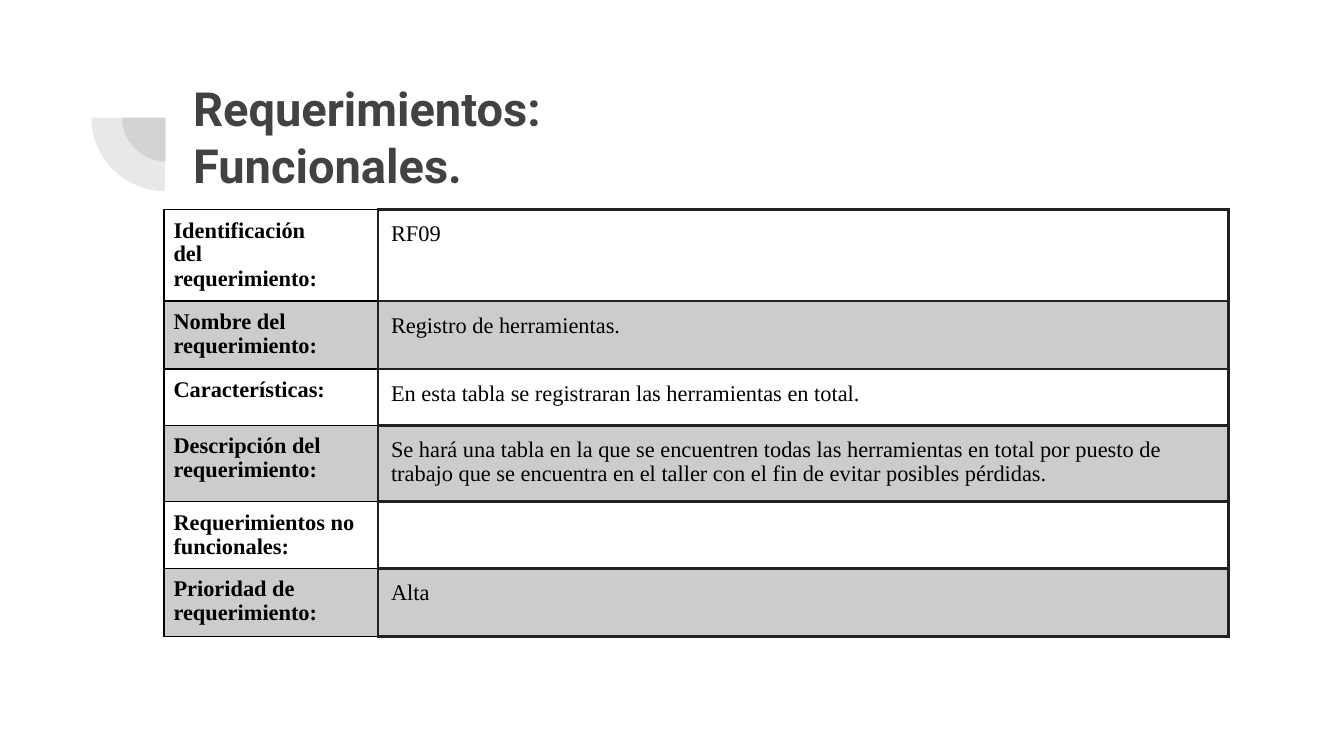
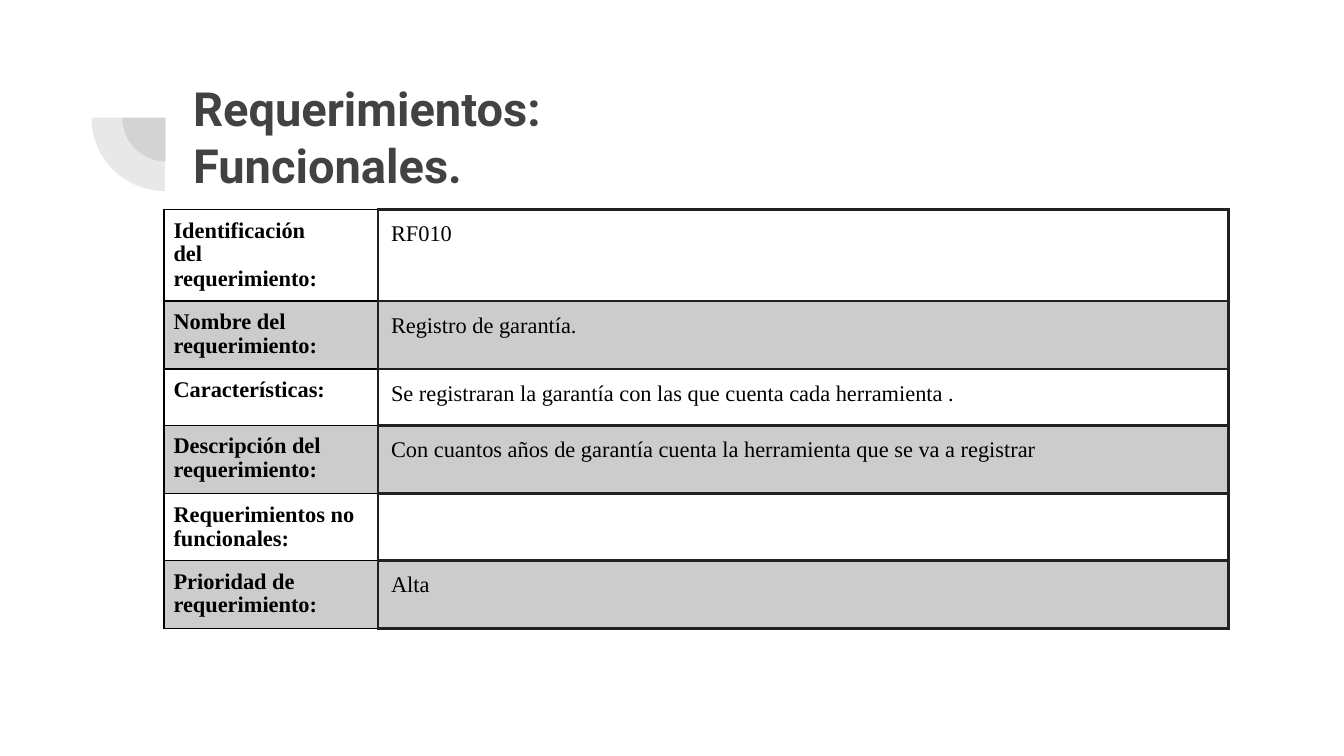
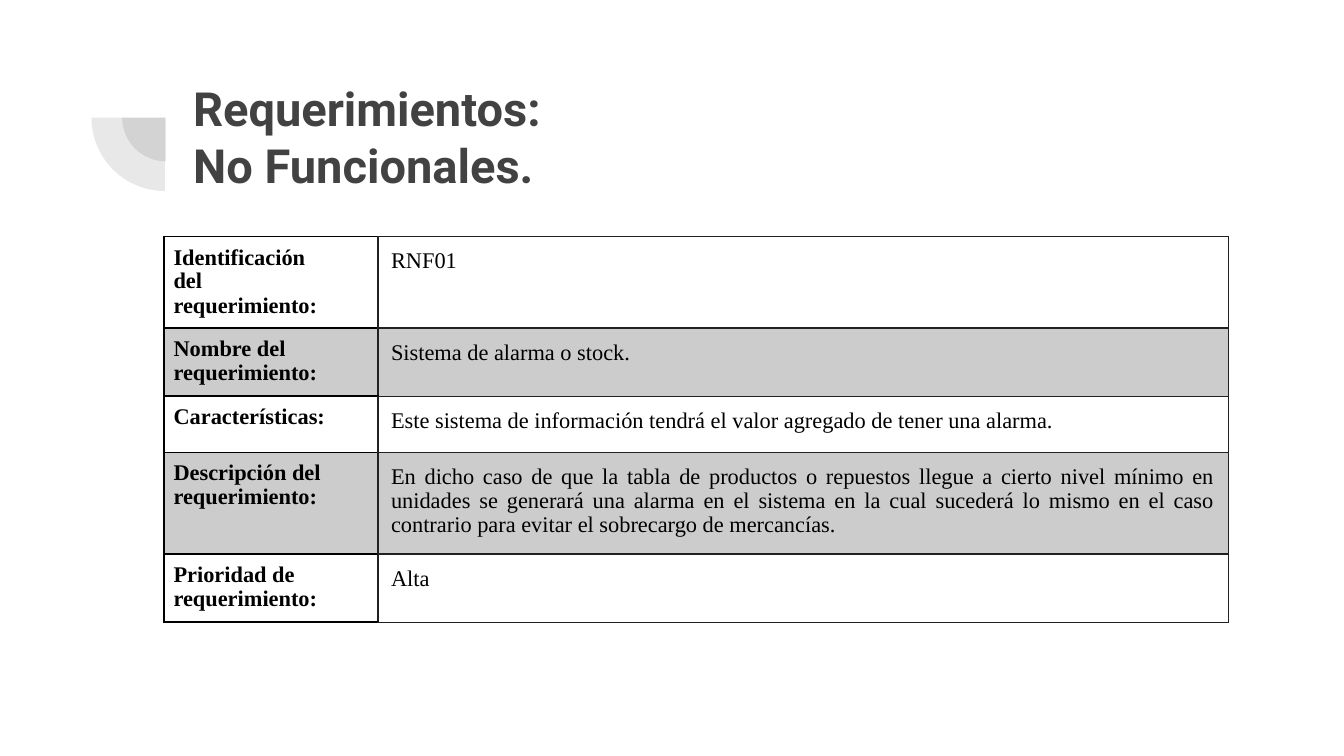
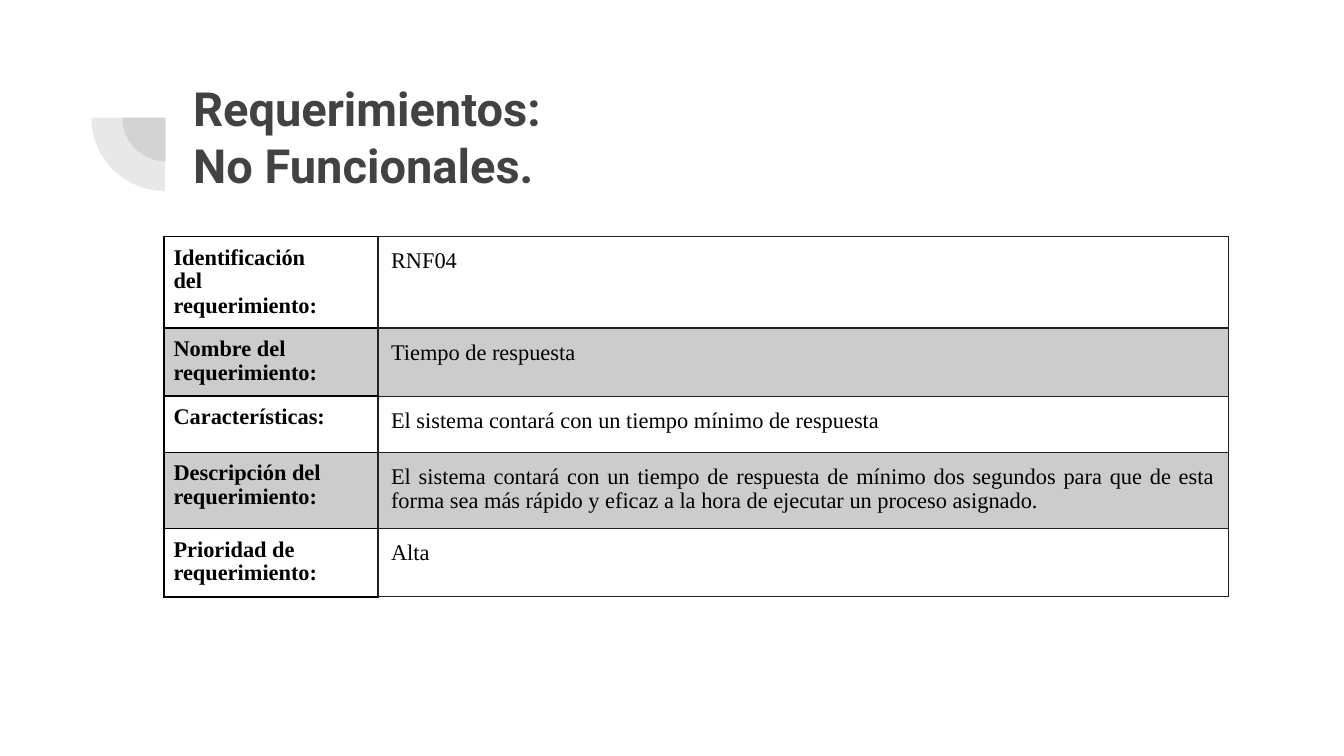
import pptx
import pptx.util
import pptx.dml.color
import pptx.enum.shapes
import pptx.enum.text
import pptx.oxml
import pptx.oxml.ns
import lxml.etree

Cm = pptx.util.Cm
Pt = pptx.util.Pt
ALIGN = pptx.enum.text.PP_ALIGN
DARK, BLACK, BORDER, GREY = "424242", "000000", "202124", "CCCCCC"

LABELS = {
    "id": "Identificación\vdel\nrequerimiento:",
    "name": "Nombre del\nrequerimiento:",
    "features": "Características:",
    "description": "Descripción del requerimiento:",
    "non_functional": "Requerimientos no funcionales:",
    "priority": "Prioridad de\nrequerimiento:",
}
ROW_HEIGHTS = {"id": 1.73, "name": 1.29, "features": 1.06,
               "non_functional": 1.26, "priority": 1.29}
COLUMN_WIDTHS = [4.04, 16.08]
CELL_MARGINS = [0.18, 0.25]
PIES = [(2.31, 1.4, 1.65), (1.73, 0.84, 2.77)]
FUNCTIONAL = {"title": "Requerimientos:\nFuncionales.", "top": 3.96,
              "edges": {"L": 1.5, "R": 1.5, "T": 1.5, "B": 1.5},
              "align": ALIGN.LEFT}
NON_FUNCTIONAL = {"title": "Requerimientos:\nNo Funcionales.", "top": 4.47,
                  "edges": {"L": 1, "R": 0.75, "T": 0.75, "B": 0.75},
                  "align": ALIGN.JUSTIFY}

REQUIREMENTS = [
    (FUNCTIONAL, 1.44, {
        "id": "RF09",
        "name": "Registro de herramientas.",
        "features": "En esta tabla se registraran las herramientas en total.",
        "description": "Se hará una tabla en la que se encuentren todas las "
                       "herramientas en total por puesto de trabajo que se encuentra "
                       "en el taller con el fin de evitar posibles pérdidas.",
        "non_functional": "",
        "priority": "Alta",
    }),
    (FUNCTIONAL, 1.29, {
        "id": "RF010",
        "name": "Registro de garantía.",
        "features": "Se registraran la garantía con las que cuenta cada herramienta .",
        "description": "Con cuantos años de garantía cuenta la herramienta que se va "
                       "a registrar",
        "non_functional": "",
        "priority": "Alta",
    }),
    (NON_FUNCTIONAL, 1.92, {
        "id": "RNF01",
        "name": "Sistema de alarma o stock.",
        "features": "Este sistema de información tendrá el valor agregado de tener "
                    "una alarma.",
        "description": "En dicho caso de que la tabla de productos o repuestos llegue "
                       "a cierto nivel mínimo en unidades se generará una alarma en el "
                       "sistema en la cual sucederá lo mismo en el caso contrario para "
                       "evitar el sobrecargo de mercancías.",
        "priority": "Alta",
    }),
    (NON_FUNCTIONAL, 1.44, {
        "id": "RNF04",
        "name": "Tiempo de respuesta",
        "features": "El sistema contará con un tiempo mínimo de respuesta",
        "description": "El sistema contará con un tiempo de respuesta de mínimo dos "
                       "segundos para que de esta forma sea más rápido y eficaz a la "
                       "hora de ejecutar un proceso asignado.",
        "priority": "Alta",
    }),
]


def paint(color_format, color):
    color_format.rgb = pptx.dml.color.RGBColor.from_string(color)


def write(frame, text, color, font_format, paragraph_format):
    frame.text = text
    for paragraph in frame.paragraphs:
        for name, value in paragraph_format.items():
            setattr(paragraph, name, value)
        for run in paragraph.runs or [paragraph.add_run()]:
            for name, value in font_format.items():
                setattr(run.font, name, value)
            paint(run.font.color, color)


presentation = pptx.Presentation()
presentation.slide_width = Cm(25.4)
presentation.slide_height = Cm(14.29)

for kind, description_height, values in REQUIREMENTS:
    slide = presentation.slides.add_slide(presentation.slide_layouts[5])

    for left, top, size in PIES:
        pie = slide.shapes.add_shape(pptx.enum.shapes.MSO_SHAPE.PIE,
                                     Cm(left), Cm(top), Cm(size), Cm(size))
        pie.adjustments[0] = 108
        pie.adjustments[1] = 162
        pie.rotation = 270
        pie.shadow.inherit = False
        pie.line.fill.background()
        pie.fill.solid()
        paint(pie.fill.fore_color, DARK)
        color_element = pie.fill._xPr.find(".//" + pptx.oxml.ns.qn("a:srgbClr"))
        lxml.etree.SubElement(color_element, pptx.oxml.ns.qn("a:alpha"), val="12000")

    title = slide.shapes.title
    title_place = {"left": 3.4, "top": 1.19, "width": 19.53, "height": 2.77}
    for name, value in title_place.items():
        setattr(title, name, Cm(value))
    frame_format = {"margin_left": Cm(0.25), "margin_right": Cm(0.25),
                    "margin_top": Cm(0.25), "margin_bottom": Cm(0.25),
                    "word_wrap": True,
                    "auto_size": pptx.enum.text.MSO_AUTO_SIZE.NONE,
                    "vertical_anchor": pptx.enum.text.MSO_ANCHOR.MIDDLE}
    for name, value in frame_format.items():
        setattr(title.text_frame, name, value)
    write(title.text_frame, kind["title"], DARK,
          {"name": "Roboto", "size": Pt(25.2), "bold": True},
          {"alignment": ALIGN.LEFT})

    heights = {**ROW_HEIGHTS, "description": description_height}
    table = slide.shapes.add_table(len(values), 2, Cm(3.1), Cm(kind["top"]),
                                   Cm(sum(COLUMN_WIDTHS)),
                                   Cm(sum(heights[key] for key in values))).table
    table.first_row = False
    table.horz_banding = False
    for column, width in zip(table.columns, COLUMN_WIDTHS):
        column.width = Cm(width)

    for row_index, (key, value) in enumerate(values.items()):
        table.rows[row_index].height = Cm(heights[key])
        for column_index, text in enumerate([LABELS[key], value]):
            cell = table.cell(row_index, column_index)
            is_label = column_index == 0
            for side in ["left", "right", "top", "bottom"]:
                setattr(cell, "margin_" + side, Cm(CELL_MARGINS[column_index]))
            justified = key == "description" and not is_label
            write(cell.text_frame, text, BLACK,
                  {"name": "Times New Roman", "size": Pt(12), "bold": is_label},
                  {"alignment": kind["align"] if justified else ALIGN.LEFT,
                   "line_spacing": 0.96})

            for edge in "LRTB":
                shared = is_label and edge == "R"
                line_width = kind["edges"]["L" if shared else edge]
                line_color = BORDER
                if is_label and not shared:
                    line_width, line_color = 1, BLACK
                cell._tc.get_or_add_tcPr().append(pptx.oxml.parse_xml(
                    f'<a:ln{edge} {pptx.oxml.ns.nsdecls("a")} w="{Pt(line_width)}">'
                    f'<a:solidFill><a:srgbClr val="{line_color}"/></a:solidFill>'
                    f'</a:ln{edge}>'))
            if row_index % 2:
                cell.fill.solid()
                paint(cell.fill.fore_color, GREY)
            else:
                cell.fill.background()

    table.cell(0, 0).text_frame.paragraphs[1].space_before = Pt(0.3)

presentation.save("out.pptx")
